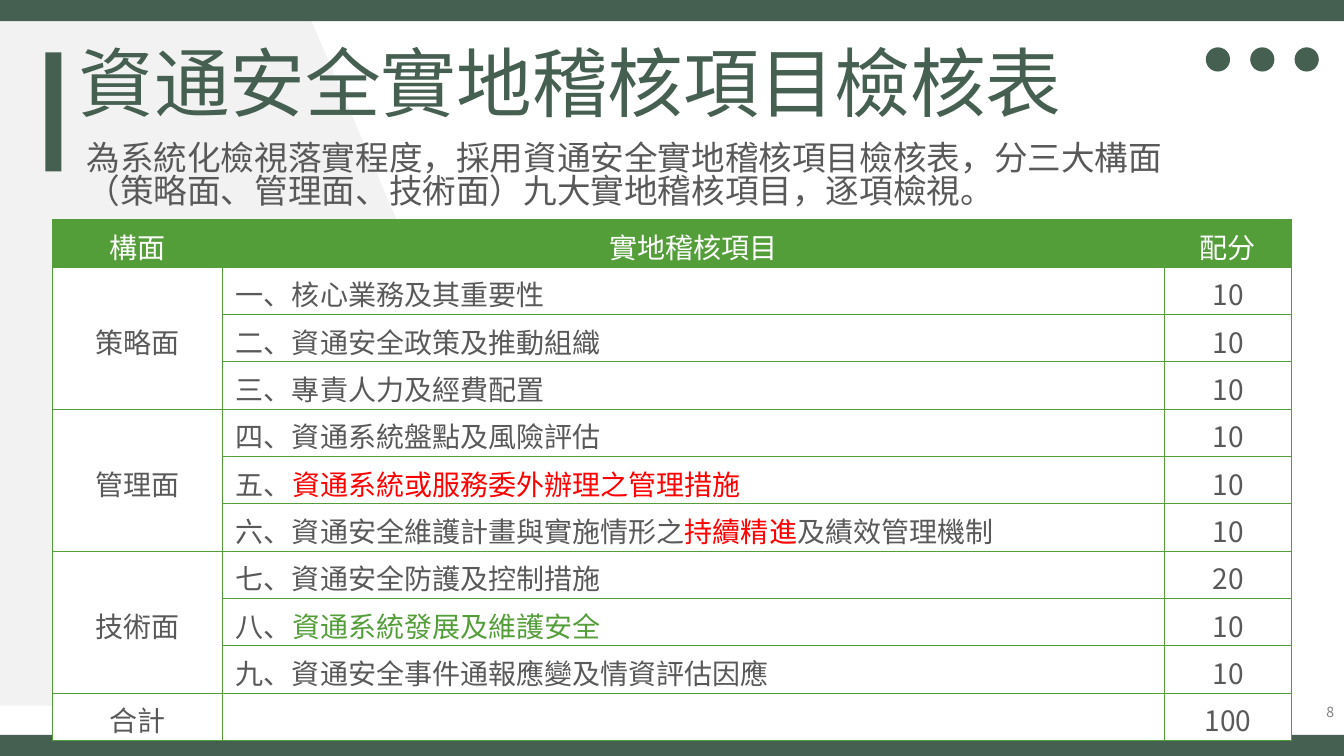
"""Build the slide with the on-site security audit checklist."""
from dataclasses import dataclass

from lxml import etree
from pptx import Presentation
from pptx.dml.color import RGBColor
from pptx.enum.shapes import MSO_SHAPE
from pptx.enum.text import MSO_ANCHOR, PP_ALIGN
from pptx.oxml.ns import qn
from pptx.util import Inches, Pt

RECT, OVAL = MSO_SHAPE.RECTANGLE, MSO_SHAPE.OVAL
LEFT, CENTER, RIGHT = PP_ALIGN.LEFT, PP_ALIGN.CENTER, PP_ALIGN.RIGHT
TOP, MIDDLE = MSO_ANCHOR.TOP, MSO_ANCHOR.MIDDLE


@dataclass(frozen=True)
class Theme:
    """Colours, fonts and type sizes of the slide."""
    dark: str = "455F51"
    green: str = "549E39"
    red: str = "FF0000"
    text: str = "595959"
    muted: str = "808080"
    pale: str = "F2F2F2"
    white: str = "FFFFFF"
    font: str = "Noto Sans CJK JP"
    number_font: str = "Noto Sans CJK SC"
    title: int = 54
    intro: int = 24
    body: int = 20
    small: int = 10
    leading: float = 0.82


THEME = Theme()

TITLE = "資通安全實地稽核項目檢核表"
INTRO = ("為系統化檢視落實程度，採用資通安全實地稽核項目檢核表，分三大構面\v"
         "（策略面、管理面、技術面）九大實地稽核項目，逐項檢視。")
PAGE_NUMBER = "8"
HEADINGS = ["構面", "實地稽核項目", "配分"]
ASPECTS = [
    ("策略面", [
        ([("一、核心業務及其重要性", THEME.text)], 10),
        ([("二、資通安全政策及推動組織", THEME.text)], 10),
        ([("三、專責人力及經費配置", THEME.text)], 10),
    ]),
    ("管理面", [
        ([("四、資通系統盤點及風險評估", THEME.text)], 10),
        ([("五、", THEME.text), ("資通系統或服務委外辦理之管理措施", THEME.red)], 10),
        ([("六、資通安全維護計畫與實施情形之", THEME.text), ("持續精進", THEME.red),
          ("及績效管理機制", THEME.text)], 10),
    ]),
    ("技術面", [
        ([("七、資通安全防護及控制措施", THEME.text)], 20),
        ([("八、", THEME.text), ("資通系統發展及維護安全", THEME.green)], 10),
        ([("九、資通安全事件通報應變及情資評估因應", THEME.text)], 10),
    ]),
]
TOTAL_LABEL = "合計"

WIDTH, HEIGHT, BAND = 13.33, 7.5, 0.21
BACKDROP = [(0, 0), (2.78, 0), (5.66, 7.49), (0, 7.47)]
DOT_LEFT, DOT_TOP, DOT_SIZE, DOT_STEP = 11.96, 0.47, 0.24, 0.44
TABLE_LEFT, TABLE_TOP, ROW_HEIGHT = 0.52, 2.18, 0.47
COLUMNS = [1.69, 9.34, 1.26]
CELL_FORMAT = {
    "margin_left": Inches(0.13), "margin_right": Inches(0.13),
    "margin_top": Inches(0.12), "margin_bottom": Inches(0.02),
    "vertical_anchor": MIDDLE,
}


def color(value):
    """Turn a hex value into a colour."""
    return RGBColor.from_string(value)


def paint(shape, fill):
    """Give a shape a plain fill without line or shadow."""
    shape.shadow.inherit = False
    shape.fill.solid()
    shape.fill.fore_color.rgb = color(fill)
    shape.line.fill.background()


def add_block(slide, kind, box, fill):
    """Add a filled preset shape."""
    paint(slide.shapes.add_shape(kind, *map(Inches, box)), fill)


def write(frame, parts, size, align, font=THEME.font):
    """Write coloured parts into the first paragraph of a frame."""
    paragraph = frame.paragraphs[0]
    paragraph.alignment = align
    paragraph.line_spacing = THEME.leading
    for index, (words, ink) in enumerate(parts):
        for line_index, line in enumerate(words.split("\v")):
            if line_index:
                paragraph.add_line_break()
            run = paragraph.add_run()
            run.text = line
            for name, value in {"name": font, "size": Pt(size)}.items():
                setattr(run.font, name, value)
            run.font.color.rgb = color(ink)
            etree.SubElement(run.font._element, qn("a:ea"), typeface=font)


def add_text(slide, box, words, size, ink, align=LEFT, anchor=TOP, font=THEME.font):
    """Add a wrapping text box."""
    frame = slide.shapes.add_textbox(*map(Inches, box)).text_frame
    frame.word_wrap = True
    frame.vertical_anchor = anchor
    write(frame, [(words, ink)], size, align, font)


def fill_cell(cell, parts, align, fill):
    """Format one table cell and write its text."""
    for name, value in CELL_FORMAT.items():
        setattr(cell, name, value)
    write(cell.text_frame, parts, THEME.body, align)
    properties = cell._tc.get_or_add_tcPr()
    for side in ("a:lnL", "a:lnR", "a:lnT", "a:lnB"):
        border = etree.SubElement(properties, qn(side), w=str(Pt(1)))
        solid = etree.SubElement(border, qn("a:solidFill"))
        etree.SubElement(solid, qn("a:srgbClr"), val=THEME.green)
    cell.fill.solid()
    cell.fill.fore_color.rgb = color(fill)


def add_checklist(slide):
    """Add the table of aspects, audit items and scores."""
    rows = [[[(heading, THEME.white)] for heading in HEADINGS]]
    spans = []
    total = 0
    for aspect, items in ASPECTS:
        spans.append((len(rows), len(rows) + len(items) - 1))
        for index, (item, score) in enumerate(items):
            label = [] if index else [(aspect, THEME.text)]
            rows.append([label, item, [(str(score), THEME.text)]])
            total += score
    rows.append([[(TOTAL_LABEL, THEME.text)], [], [(str(total), THEME.text)]])

    box = (TABLE_LEFT, TABLE_TOP, sum(COLUMNS), ROW_HEIGHT * len(rows))
    table = slide.shapes.add_table(len(rows), len(COLUMNS), *map(Inches, box)).table
    for column, width in zip(table.columns, COLUMNS):
        column.width = Inches(width)
    for r, row in enumerate(rows):
        table.rows[r].height = Inches(ROW_HEIGHT)
        for c, parts in enumerate(row):
            align = LEFT if r and c == 1 else CENTER
            fill = THEME.white if r else THEME.green
            fill_cell(table.cell(r, c), parts, align, fill)
    for first, last in spans:
        table.cell(first, 0).merge(table.cell(last, 0))


def main():
    """Assemble and save the slide."""
    deck = Presentation()
    deck.slide_width, deck.slide_height = Inches(WIDTH), Inches(HEIGHT)
    slide = deck.slides.add_slide(deck.slide_layouts[6])

    outline = slide.shapes.build_freeform(*BACKDROP[0], scale=Inches(1))
    outline.add_line_segments(BACKDROP[1:], close=True)
    paint(outline.convert_to_shape(), THEME.pale)
    add_block(slide, RECT, (0.45, 0.52, 0.16, 1.18), THEME.dark)
    for top in (0, HEIGHT - BAND):
        add_block(slide, RECT, (0, top, WIDTH, BAND), THEME.dark)
    for index in range(3):
        left = DOT_LEFT + index * DOT_STEP
        add_block(slide, OVAL, (left, DOT_TOP, DOT_SIZE, DOT_SIZE), THEME.dark)

    add_text(slide, (0.68, 0.47, 11.5, 1.45), TITLE, THEME.title, THEME.dark)
    add_checklist(slide)
    add_text(slide, (0.76, 1.38, 11.65, 0.91), INTRO, THEME.intro, THEME.text)
    add_text(slide, (11.28, 6.94, 2.05, 0.27), PAGE_NUMBER, THEME.small, THEME.muted,
             RIGHT, MIDDLE, THEME.number_font)
    deck.save("out.pptx")


if __name__ == "__main__":
    main()
